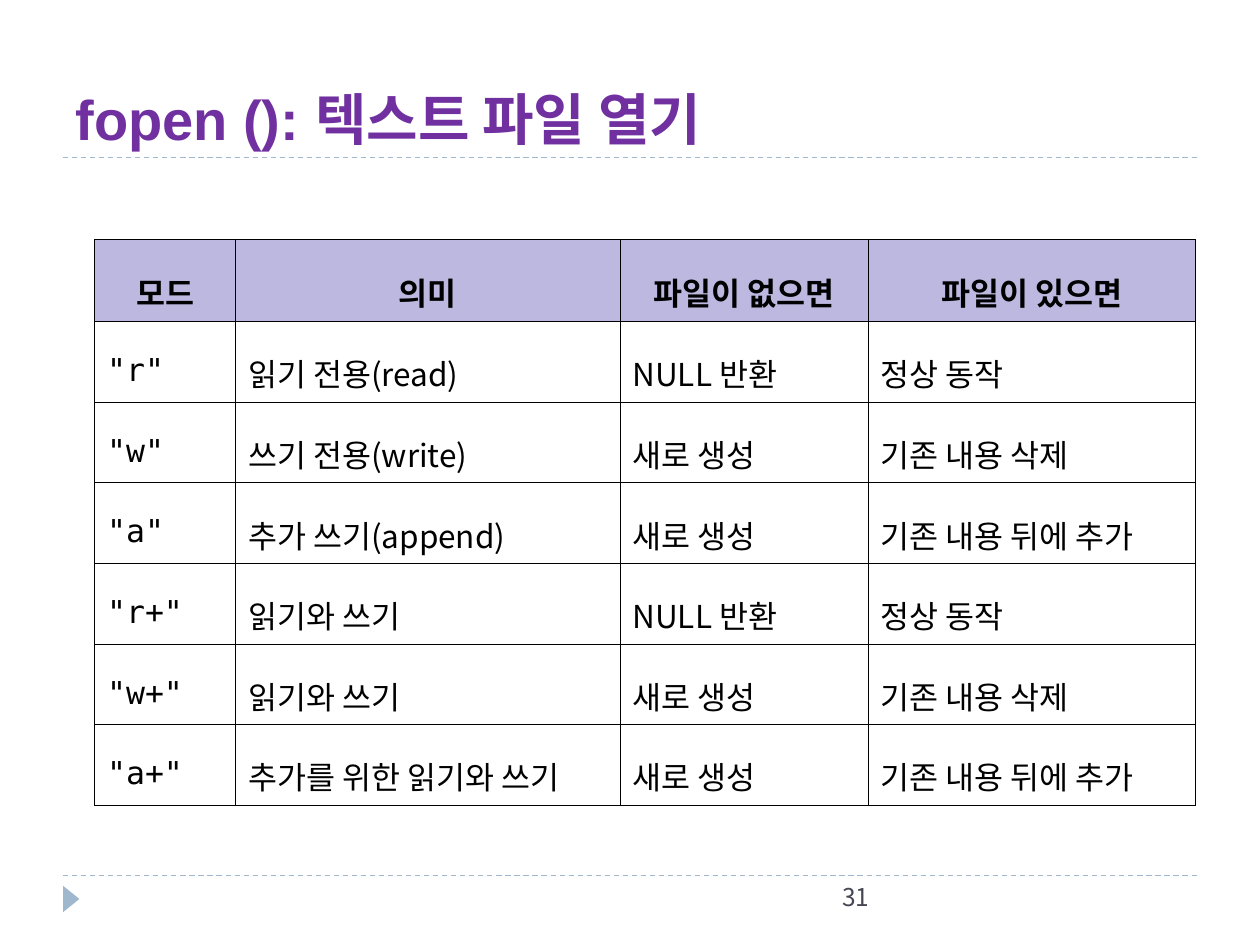
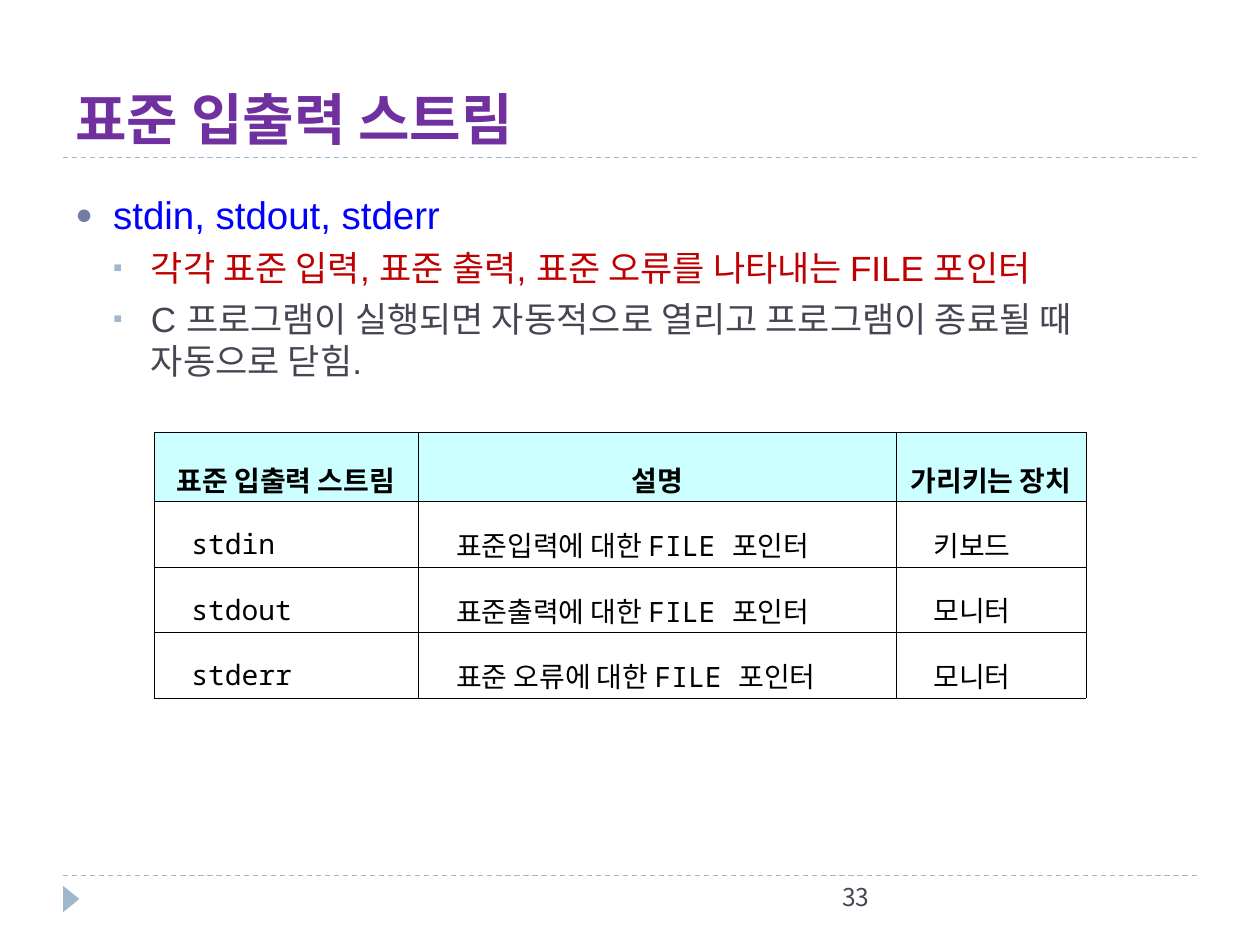
from dataclasses import dataclass

from lxml.etree import SubElement
from pptx import Presentation
from pptx.dml.color import RGBColor
from pptx.enum.dml import MSO_LINE
from pptx.enum.shapes import MSO_CONNECTOR as Connector, MSO_SHAPE as Preset
from pptx.enum.text import MSO_ANCHOR as Anchor, PP_ALIGN as Align
from pptx.oxml.ns import qn
from pptx.slide import Slide
from pptx.table import _Cell as Cell
from pptx.util import Pt

EMU_PER_PX = 9144  # 100 px to the inch


def px(length: int) -> int:
    return length * EMU_PER_PX


@dataclass(frozen=True)
class Theme:
    title: str = "7030A0"
    text: str = "464653"
    accent: str = "9FB8CD"
    bullet: str = "727CA3"
    keyword: str = "0000FF"
    emphasis: str = "C00000"
    black: str = "000000"
    lilac: str = "BCB8E0"
    aqua: str = "CCFFFF"
    sans: str = "Arial"
    korean: str = "Noto Sans CJK KR"
    code: str = "DejaVu Sans Mono"
    mono: str = "Noto Sans Mono"
    title_size: int = 32
    page_size: int = 14
    rule_width: float = 0.75
    border_width: float = 0.28


THEME = Theme()


@dataclass(frozen=True)
class Box:
    left: int
    top: int
    width: int
    height: int

    def emu(self) -> tuple[int, ...]:
        return tuple(map(px, (self.left, self.top, self.width, self.height)))


@dataclass(frozen=True)
class TextStyle:
    size: int
    font: str
    color: str
    bold: bool = False


@dataclass(frozen=True)
class Bullet:
    text: str
    style: TextStyle
    level: int = 0


@dataclass(frozen=True)
class Grid:
    box: Box
    columns: tuple[int, ...]
    header_height: int
    row_height: int
    header_fill: str
    size: int
    fonts: tuple[str, ...]  # one font per column, body rows
    header_font: str
    margins: tuple[int, int]  # sides, top and bottom
    rows: tuple[tuple[str, ...], ...]
    header_spacing: float = 1.5
    indent: int = 0


# Text

def style_paragraph(paragraph, style: TextStyle) -> None:
    for run in paragraph.runs:
        font = run.font
        font.size, font.name, font.bold = Pt(style.size), style.font, style.bold
        font.color.rgb = RGBColor.from_string(style.color)


def add_text(slide: Slide, box: Box, text: str, style: TextStyle,
             align: Align = Align.LEFT, anchor: Anchor = Anchor.TOP) -> None:
    frame = slide.shapes.add_textbox(*box.emu()).text_frame
    frame.word_wrap, frame.vertical_anchor = True, anchor
    frame.text = text
    frame.paragraphs[0].alignment = align
    style_paragraph(frame.paragraphs[0], style)


def add_bullets(slide: Slide, box: Box, bullets: tuple[Bullet, ...]) -> None:
    frame = slide.shapes.add_textbox(*box.emu()).text_frame
    frame.word_wrap = True
    for index, bullet in enumerate(bullets):
        paragraph = frame.add_paragraph() if index else frame.paragraphs[0]
        paragraph.text = bullet.text
        paragraph.level = bullet.level
        paragraph.space_before = Pt(6 - bullet.level)
        style_paragraph(paragraph, bullet.style)
        # Hanging bullet mark
        mark, color = (("●", THEME.bullet), ("▪", THEME.accent))[bullet.level]
        properties = paragraph._p.get_or_add_pPr()
        properties.set("marL", str(px(30 * (bullet.level + 1))))
        properties.set("indent", str(px(-30)))
        SubElement(SubElement(properties, qn("a:buClr")), qn("a:srgbClr"), val=color)
        SubElement(properties, qn("a:buSzPct"), val="76000")
        SubElement(properties, qn("a:buFont"), typeface=THEME.sans)
        SubElement(properties, qn("a:buChar"), char=mark)


# Tables

def add_borders(cell: Cell) -> None:
    properties = cell._tc.get_or_add_tcPr()
    for side in ("lnL", "lnR", "lnT", "lnB"):
        border = SubElement(properties, qn(f"a:{side}"), w=str(Pt(THEME.border_width)))
        fill = SubElement(border, qn("a:solidFill"))
        SubElement(fill, qn("a:srgbClr"), val=THEME.black)


def fill_cell(cell: Cell, text: str, grid: Grid, column: int, is_header: bool) -> None:
    sides, ends = map(px, grid.margins)
    cell.margin_left = cell.margin_right = sides
    cell.margin_top = cell.margin_bottom = ends
    cell.vertical_anchor = Anchor.MIDDLE
    add_borders(cell)
    if is_header:
        cell.fill.solid()
        cell.fill.fore_color.rgb = RGBColor.from_string(grid.header_fill)
    else:
        cell.fill.background()
    paragraph = cell.text_frame.paragraphs[0]
    paragraph.text = text
    paragraph.alignment = Align.CENTER if is_header else Align.LEFT
    paragraph.line_spacing = grid.header_spacing if is_header else 1.5
    if grid.indent and not is_header:
        paragraph._p.get_or_add_pPr().set("marL", str(px(grid.indent)))
    font = grid.header_font if is_header else grid.fonts[column]
    style_paragraph(paragraph, TextStyle(grid.size, font, THEME.black, is_header))


def add_grid(slide: Slide, grid: Grid) -> None:
    table = slide.shapes.add_table(
        len(grid.rows), len(grid.columns), *grid.box.emu()).table
    table.first_row = table.horz_banding = False
    for column, width in zip(table.columns, grid.columns):
        column.width = px(width)
    for r, texts in enumerate(grid.rows):
        table.rows[r].height = px(grid.row_height if r else grid.header_height)
        for c, text in enumerate(texts):
            fill_cell(table.cell(r, c), text, grid, c, r == 0)


# Shared slide frame

def add_rule(slide: Slide, top: int) -> None:
    rule = slide.shapes.add_connector(
        Connector.STRAIGHT, px(50), px(top), px(950), px(top))
    rule.line.color.rgb = RGBColor.from_string(THEME.accent)
    rule.line.width = Pt(THEME.rule_width)
    rule.line.dash_style = MSO_LINE.DASH
    SubElement(rule._element.spPr, qn("a:effectLst"))


def add_framed_slide(deck, title: str, page: int) -> Slide:
    slide = deck.slides.add_slide(deck.slide_layouts[6])
    for top in (695, 125):
        add_rule(slide, top)
    marker = slide.shapes.add_shape(
        Preset.ISOSCELES_TRIANGLE, *Box(46, 707, 21, 13).emu())
    marker.rotation = 90
    marker.shadow.inherit = False
    marker.fill.solid()
    marker.fill.fore_color.rgb = RGBColor.from_string(THEME.accent)
    marker.line.fill.background()
    add_text(slide, Box(317, 695, 383, 40), str(page),
             TextStyle(THEME.page_size, THEME.korean, THEME.text), Align.RIGHT)
    add_text(slide, Box(50, 17, 900, 108), title,
             TextStyle(THEME.title_size, THEME.sans, THEME.title, True),
             anchor=Anchor.BOTTOM)
    return slide


# Content

OPEN_MODES = Grid(
    box=Box(75, 190, 874, 449),
    columns=(112, 305, 197, 260),
    header_height=65, row_height=64,
    header_fill=THEME.lilac, size=18,
    fonts=(THEME.code,) + (THEME.korean,) * 3,
    header_font=THEME.korean, margins=(10, 5),
    rows=(
        ("모드", "의미", "파일이 없으면", "파일이 있으면"),
        ('"r"', "읽기 전용(read)", "NULL 반환", "정상 동작"),
        ('"w"', "쓰기 전용(write)", "새로 생성", "기존 내용 삭제"),
        ('"a"', "추가 쓰기(append)", "새로 생성", "기존 내용 뒤에 추가"),
        ('"r+"', "읽기와 쓰기", "NULL 반환", "정상 동작"),
        ('"w+"', "읽기와 쓰기", "새로 생성", "기존 내용 삭제"),
        ('"a+"', "추가를 위한 읽기와 쓰기", "새로 생성", "기존 내용 뒤에 추가"),
    ))

STREAMS = Grid(
    box=Box(122, 343, 740, 211),
    columns=(210, 379, 151),
    header_height=55, row_height=52,
    header_fill=THEME.aqua, size=16,
    fonts=(THEME.mono,) * 3,
    header_font=THEME.mono, margins=(2, 2),
    header_spacing=1.6, indent=28,
    rows=(
        ("표준 입출력 스트림", "설명", "가리키는 장치"),
        ("stdin", "표준입력에 대한 FILE 포인터", "키보드"),
        ("stdout", "표준출력에 대한 FILE 포인터", "모니터"),
        ("stderr", "표준 오류에 대한 FILE 포인터", "모니터"),
    ))

STREAM_NOTES = (
    Bullet("stdin, stdout, stderr", TextStyle(22, THEME.sans, THEME.keyword)),
    Bullet("각각 표준 입력, 표준 출력, 표준 오류를 나타내는 FILE 포인터",
           TextStyle(20, THEME.sans, THEME.emphasis), 1),
    Bullet("C 프로그램이 실행되면 자동적으로 열리고 프로그램이 종료될 때 자동으로 닫힘.",
           TextStyle(20, THEME.sans, THEME.text), 1),
)


def main() -> None:
    deck = Presentation()
    deck.slide_width, deck.slide_height = px(1000), px(750)

    modes_slide = add_framed_slide(deck, "fopen (): 텍스트 파일 열기", 31)
    add_grid(modes_slide, OPEN_MODES)

    streams_slide = add_framed_slide(deck, "표준 입출력 스트림", 33)
    add_bullets(streams_slide, Box(50, 147, 900, 527), STREAM_NOTES)
    add_grid(streams_slide, STREAMS)

    deck.save("out.pptx")


if __name__ == "__main__":
    main()
